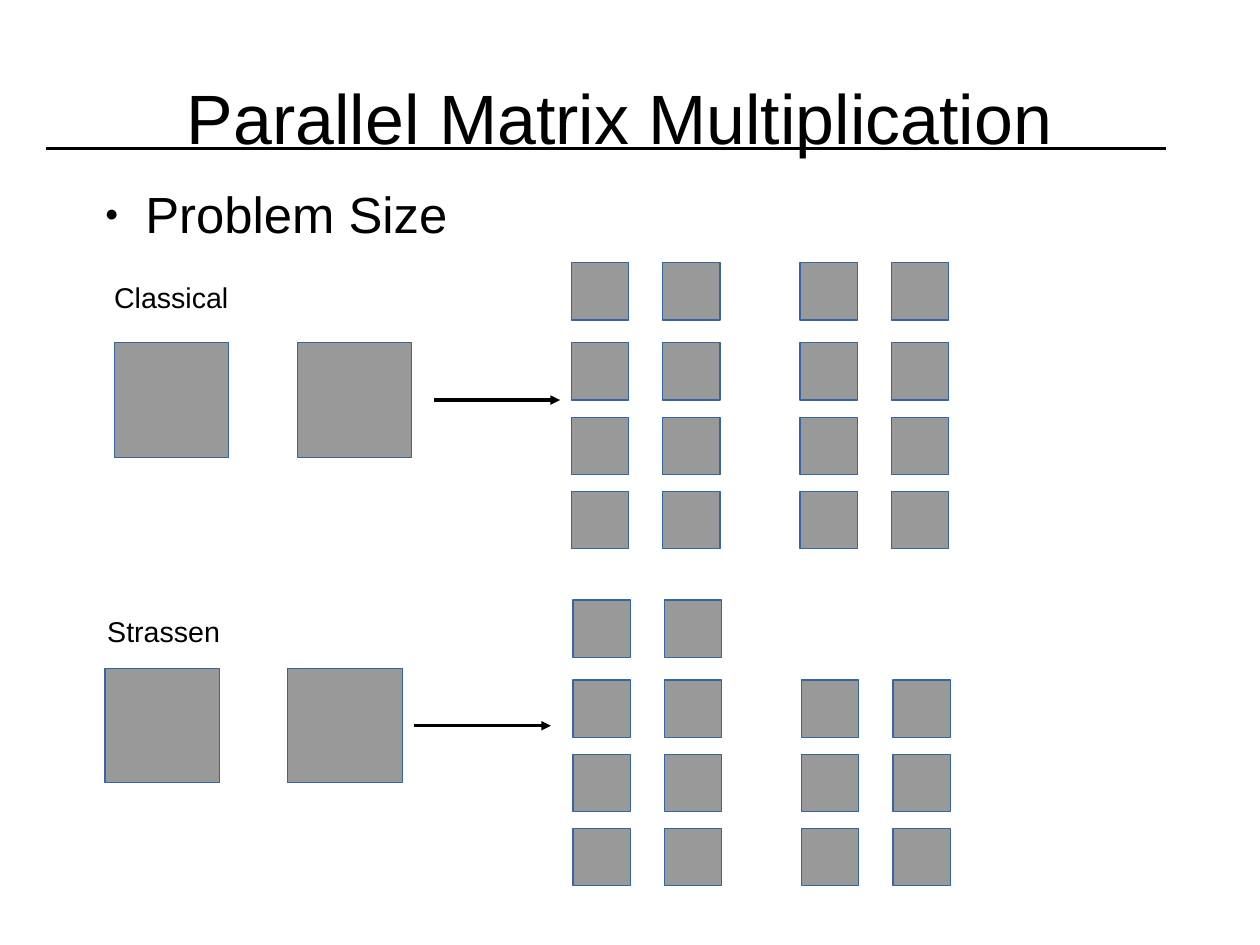
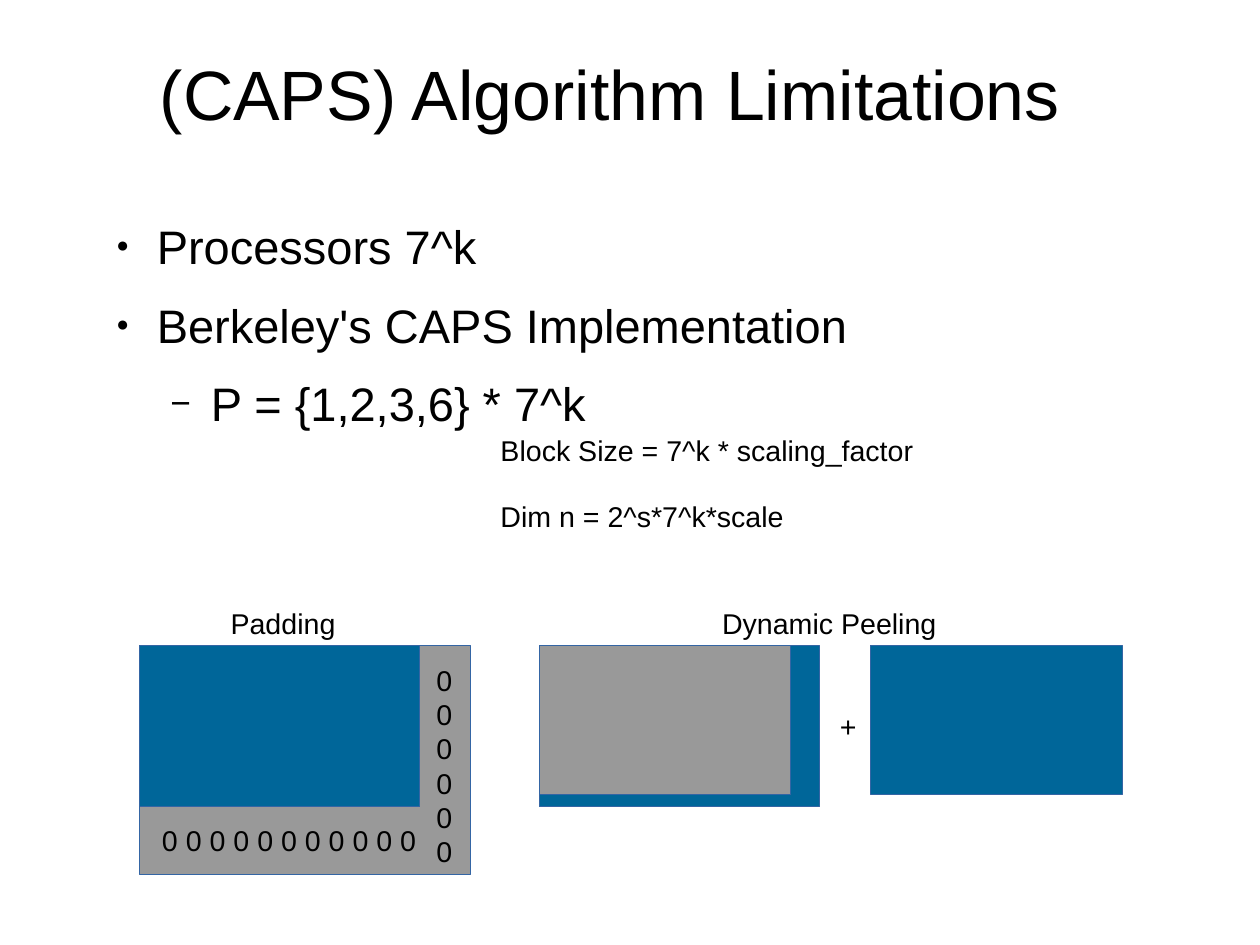
from itertools import product

from lxml.etree import SubElement
from pptx import Presentation
from pptx.dml.color import RGBColor
from pptx.enum.shapes import MSO_CONNECTOR as CONNECTOR, MSO_SHAPE as SHAPE
from pptx.enum.text import MSO_ANCHOR as ANCHOR, MSO_AUTO_SIZE as AUTO_SIZE, PP_ALIGN as ALIGN
from pptx.oxml.ns import qn
from pptx.util import Pt

COLORS = {"text": "000000", "gray": "999999", "blue": "006699", "outline": "3465A4"}
FONT = "Arial"
TITLE_ONLY = 5
BULLETS = [("●", 45), ("−", 75)]
OPERAND, BLOCK = 72, 36
OPERAND_STEP = 115.2
BLOCK_COLUMNS = [0, 57.6, 144, 201.6]
BLOCK_ROWS = [0, 50.4, 97.2, 144]
WHOLE = (176.4, 101.5)
PEELED = (158.4, 93.6)


def color(name):
    """Return the named colour."""
    return RGBColor.from_string(COLORS[name])


def write(paragraph, text, size=18):
    """Add one formatted run to a paragraph."""
    run = paragraph.add_run()
    run.text = text
    run.font.name = FONT
    run.font.size = Pt(size)
    run.font.color.rgb = color("text")


def prepare_frame(shape, inset_x=0, inset_y=0, anchor=ANCHOR.TOP):
    """Set wrapping, insets and anchor, and return the text frame."""
    frame = shape.text_frame
    frame.word_wrap = True
    frame.auto_size = AUTO_SIZE.NONE
    frame.margin_left = frame.margin_right = Pt(inset_x)
    frame.margin_top = frame.margin_bottom = Pt(inset_y)
    frame.vertical_anchor = anchor
    return frame


def add_titled_slide(presentation, title, left, top):
    """Add a slide with its centred title."""
    slide = presentation.slides.add_slide(presentation.slide_layouts[TITLE_ONLY])
    shape = slide.shapes.title
    shape.left, shape.top, shape.width, shape.height = Pt(left), Pt(top), Pt(714.3), Pt(99.4)
    paragraph = prepare_frame(shape, anchor=ANCHOR.MIDDLE).paragraphs[0]
    paragraph.alignment = ALIGN.CENTER
    write(paragraph, title, size=44)
    return slide


def add_label(slide, text, left, top, width, height=27.4):
    """Add a plain text label."""
    shape = slide.shapes.add_textbox(Pt(left), Pt(top), Pt(width), Pt(height))
    write(prepare_frame(shape, 7.2, 3.6).paragraphs[0], text)


def add_bullets(slide, items, left, top, width, height, size):
    """Add a bulleted list of (level, text) items."""
    shape = slide.shapes.add_textbox(Pt(left), Pt(top), Pt(width), Pt(height))
    frame = prepare_frame(shape)
    for index, (level, text) in enumerate(items):
        paragraph = frame.add_paragraph() if index else frame.paragraphs[0]
        paragraph.level = level
        paragraph.space_after = Pt(14.2)
        character, percent = BULLETS[level]
        properties = paragraph._p.get_or_add_pPr()
        properties.set("marL", str(Pt(34 * (level + 1))))
        properties.set("indent", str(Pt(-25.5)))
        bullet_color = SubElement(properties, qn("a:buClr"))
        SubElement(bullet_color, qn("a:srgbClr"), val=COLORS["text"])
        SubElement(properties, qn("a:buSzPct"), val=str(percent * 1000))
        SubElement(properties, qn("a:buFont"), typeface=FONT)
        SubElement(properties, qn("a:buChar"), char=character)
        write(paragraph, text, size=size)


def add_matrix(slide, left, top, width, height, fill="gray"):
    """Add a filled rectangle with a hairline outline."""
    shape = slide.shapes.add_shape(SHAPE.RECTANGLE, Pt(left), Pt(top), Pt(width), Pt(height))
    shape.shadow.inherit = False
    shape.fill.solid()
    shape.fill.fore_color.rgb = color(fill)
    shape.line.color.rgb = color("outline")
    shape.line.width = Pt(0)


def add_rule(slide, left, top, width, arrow=False):
    """Add a horizontal hairline, with an arrowhead if wanted."""
    connector = slide.shapes.add_connector(
        CONNECTOR.STRAIGHT, Pt(left), Pt(top), Pt(left + width), Pt(top))
    connector.line.color.rgb = color("text")
    connector.line.width = Pt(0)
    if arrow:
        SubElement(connector.line._get_or_add_ln(), qn("a:tailEnd"), type="triangle")
    SubElement(connector._element.spPr, qn("a:effectLst"))


def add_operands(slide, left, top, arrow_offset, arrow_width):
    """Add the two full matrices and the arrow after them."""
    for column in range(2):
        add_matrix(slide, left + column * OPERAND_STEP, top, OPERAND, OPERAND)
    add_rule(slide, left + arrow_offset, top + OPERAND / 2, arrow_width, arrow=True)


def add_products(slide, left, top, skipped=()):
    """Add the grid of block pairs, leaving out the skipped cells."""
    for row, column in product(range(len(BLOCK_ROWS)), range(len(BLOCK_COLUMNS))):
        if (row, column) not in skipped:
            add_matrix(slide, left + BLOCK_COLUMNS[column], top + BLOCK_ROWS[row], BLOCK, BLOCK)


def add_padding(slide, left, top):
    """Add the matrix padded with zeros."""
    add_matrix(slide, left, top, 208.8, 144)
    add_matrix(slide, left, top, *WHOLE, fill="blue")
    add_label(slide, "Padding", left + 50.4, top - 28.8, 158.4)
    add_label(slide, "0 0 0 0 0 0 0 0 0 0 0", left + 7.2, top + 108, 187.2)
    add_label(slide, "000000", left + 180, top + 7.2, 21.6, 128)


def add_peeling(slide, left, top):
    """Add the matrix with its peeled edge and the remaining part."""
    add_label(slide, "Dynamic Peeling", left + 108, top - 28.8, 208.8)
    add_matrix(slide, left, top, *WHOLE, fill="blue")
    add_matrix(slide, left, top, *PEELED)
    add_matrix(slide, left + 208.8, top, *PEELED, fill="blue")
    add_label(slide, "+", left + 182.2, top + 36, 26)


def build_multiplication_slide(presentation):
    """Build the slide comparing classical and Strassen block counts."""
    slide = add_titled_slide(presentation, "Parallel Matrix Multiplication ", 39.6, 23.8)
    add_bullets(slide, [(0, "Problem Size")], 57.6, 115.2, 581.8, 43.2, size=32)
    add_label(slide, "Classical", 64.8, 172.8, 223.2)
    add_operands(slide, 72, 216, 201.6, 79.2)
    add_products(slide, 360, 165.6)
    add_label(slide, "Strassen", 60.5, 383, 223.2)
    add_operands(slide, 66.2, 421.2, 194.4, 86.4)
    add_products(slide, 361, 378, skipped=[(0, 2), (0, 3)])
    add_rule(slide, 28.8, 93.6, 705.6)


def build_limitations_slide(presentation):
    """Build the slide on algorithm limitations."""
    slide = add_titled_slide(presentation, "(CAPS) Algorithm Limitations", 27.4, 8.6)
    items = [(0, "Processors 7^k"), (0, "Berkeley's CAPS Implementation"),
             (1, "P = {1,2,3,6} * 7^k")]
    add_bullets(slide, items, 64.8, 136.8, 655.2, 115.2, size=29.6)
    add_label(slide, "Block Size = 7^k * scaling_factor", 308.2, 269.3, 316.8)
    add_label(slide, "Dim n = 2^s*7^k*scale", 308.2, 311, 244.8)
    add_padding(slide, 87.8, 406.8)
    add_peeling(slide, 339.8, 406.8)


def main():
    """Build and save the presentation."""
    presentation = Presentation()
    presentation.slide_width = Pt(793.7)
    presentation.slide_height = Pt(595.3)
    build_multiplication_slide(presentation)
    build_limitations_slide(presentation)
    presentation.save("out.pptx")


if __name__ == "__main__":
    main()
